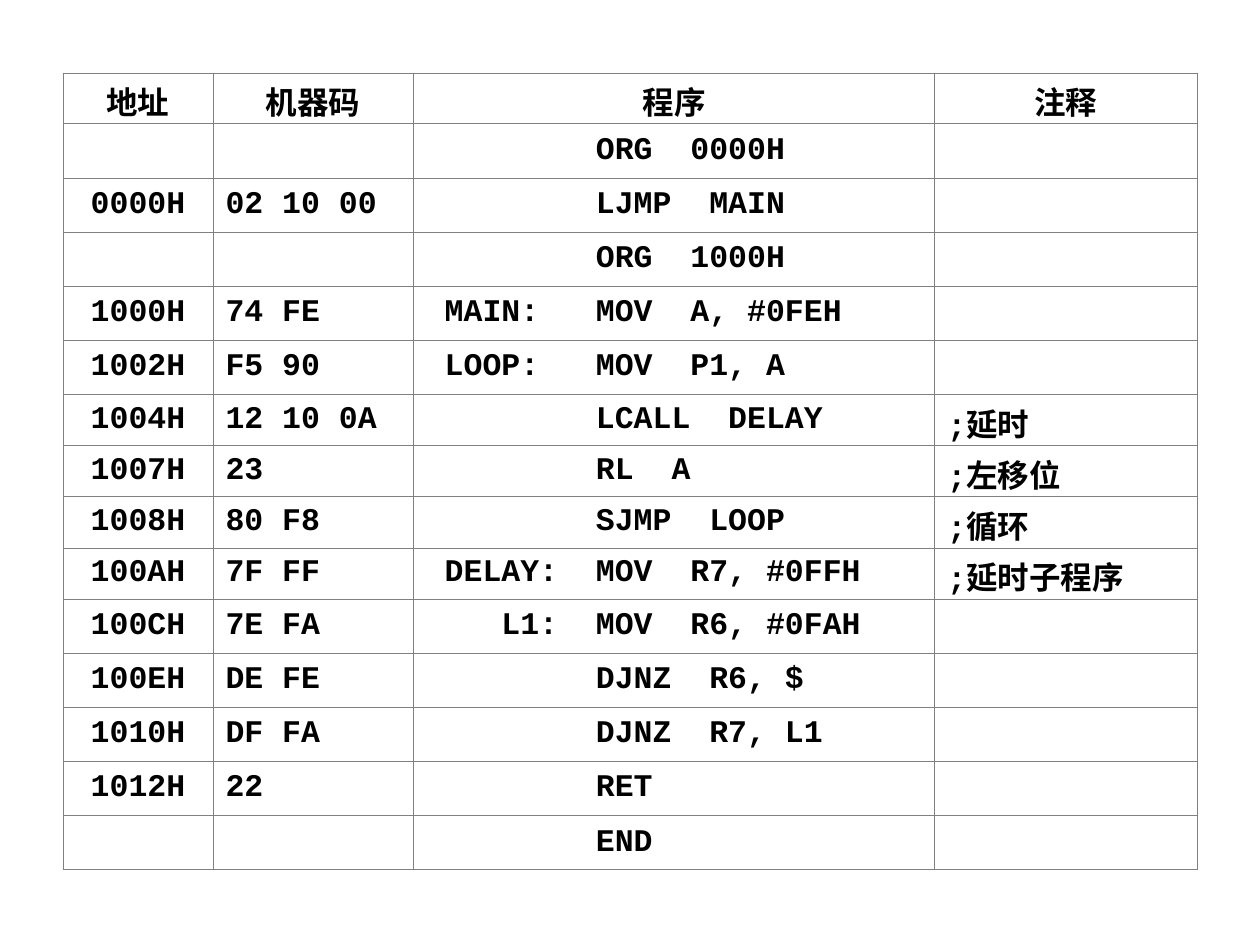
from lxml.etree import SubElement
from pptx import Presentation
from pptx.dml.color import RGBColor
from pptx.enum.text import MSO_ANCHOR as Anchor, PP_ALIGN as Align
from pptx.oxml.ns import qn
from pptx.util import Inches, Pt

HEADINGS = ("地址", "机器码", "程序", "注释")
LISTING = [
    ("", "", "         ORG  0000H", ""),
    ("0000H", "02 10 00", "         LJMP  MAIN", ""),
    ("", "", "         ORG  1000H", ""),
    ("1000H", "74 FE", " MAIN:   MOV  A, #0FEH", ""),
    ("1002H", "F5 90", " LOOP:   MOV  P1, A", ""),
    ("1004H", "12 10 0A", "         LCALL  DELAY", ";延时"),
    ("1007H", "23", "         RL  A", ";左移位"),
    ("1008H", "80 F8", "         SJMP  LOOP", ";循环"),
    ("100AH", "7F FF", " DELAY:  MOV  R7, #0FFH", ";延时子程序"),
    ("100CH", "7E FA", "    L1:  MOV  R6, #0FAH", ""),
    ("100EH", "DE FE", "         DJNZ  R6, $", ""),
    ("1010H", "DF FA", "         DJNZ  R7, L1", ""),
    ("1012H", "22", "         RET", ""),
    ("", "", "         END", ""),
]
COLUMN_WIDTHS = (1.19, 1.59, 4.14, 2.08)
FULL_ROW, OPEN_ROW = 0.4, 0.43
FONT = "Courier New"


def color(value):
    return RGBColor.from_string(value)


def add_borders(cell, line_color, width):
    properties = cell._tc.get_or_add_tcPr()
    for index, side in enumerate(("lnL", "lnR", "lnT", "lnB")):
        line = properties.makeelement(qn(f"a:{side}"), {"w": str(Pt(width))})
        fill = SubElement(line, qn("a:solidFill"))
        SubElement(fill, qn("a:srgbClr"), val=line_color)
        properties.insert(index, line)


def write_text(cell, text, size=18, bold=True, text_color="000000", align=Align.LEFT):
    cell.vertical_anchor = Anchor.MIDDLE
    para = cell.text_frame.paragraphs[0]
    para.alignment = align
    if not text:
        para.font.size = Pt(size)
        return
    if not text.isascii():
        cell.margin_top, cell.margin_bottom = Inches(0.04), 0
    span = para.add_run()
    span.text = text
    span.font.name = FONT
    span.font.size = Pt(size)
    span.font.bold = bold
    span.font.color.rgb = color(text_color)


deck = Presentation()
deck.slide_width, deck.slide_height = Inches(10), Inches(7.5)
page = deck.slides.add_slide(deck.slide_layouts[6])

rows = [HEADINGS, *LISTING]
heights = [FULL_ROW if all(row) else OPEN_ROW for row in rows]
table = page.shapes.add_table(
    len(rows), len(HEADINGS), Inches(0.5), Inches(0.58),
    Inches(sum(COLUMN_WIDTHS)), Inches(sum(heights)),
).table
table.first_row = table.horz_banding = False

for column, width in zip(table.columns, COLUMN_WIDTHS):
    column.width = Inches(width)

for row_index, (row, height) in enumerate(zip(rows, heights)):
    table.rows[row_index].height = Inches(height)
    for column_index, text in enumerate(row):
        cell = table.cell(row_index, column_index)
        cell.fill.solid()
        cell.fill.fore_color.rgb = color("FFFFFF")
        add_borders(cell, "808080", 0.45)
        centered = row_index == 0 or column_index == 0
        write_text(cell, text, align=Align.CENTER if centered else Align.LEFT)

deck.save("out.pptx")
